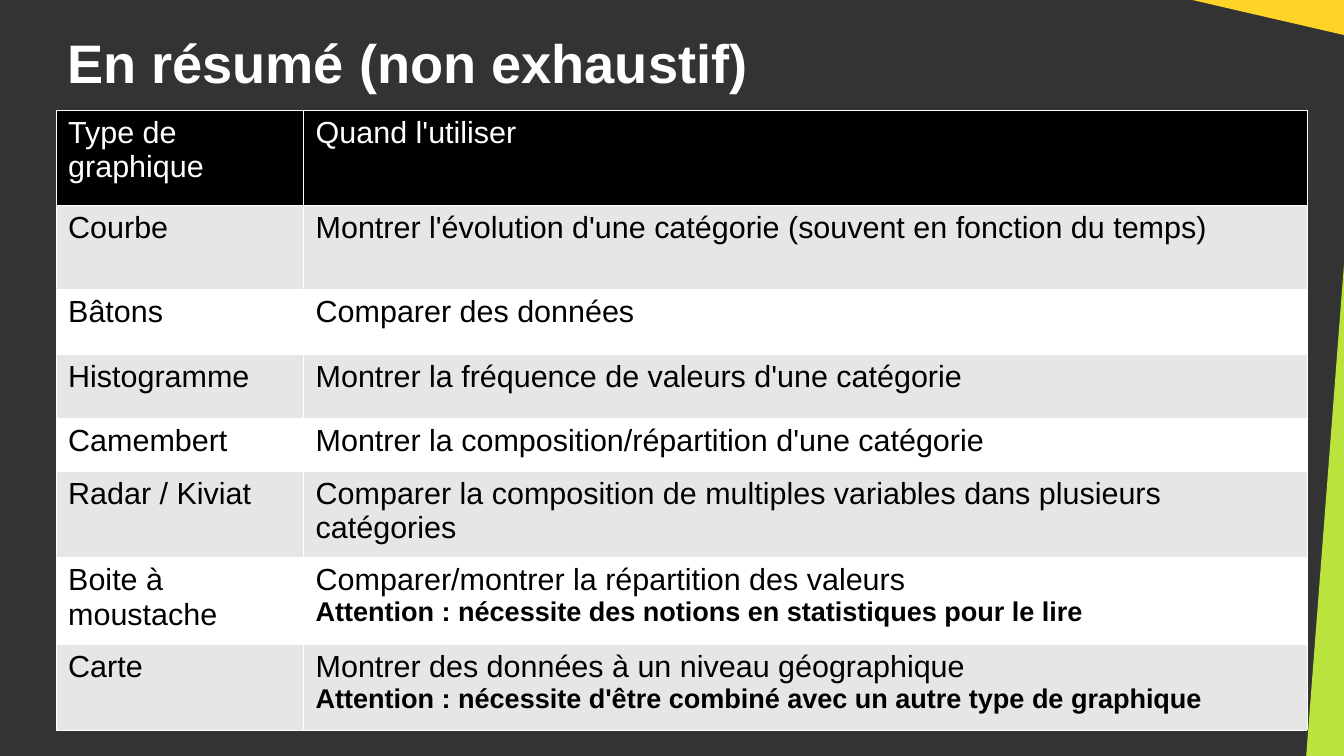
from dataclasses import dataclass

from lxml import etree
from pptx import Presentation
from pptx.dml.color import RGBColor
from pptx.enum.shapes import MSO_SHAPE
from pptx.enum.text import MSO_ANCHOR, MSO_AUTO_SIZE, PP_ALIGN
from pptx.oxml.ns import qn
from pptx.util import Emu, Inches, Pt

RIGHT_TRIANGLE = MSO_SHAPE.RIGHT_TRIANGLE
MIDDLE = MSO_ANCHOR.MIDDLE
LEFT = PP_ALIGN.LEFT
NO_AUTOFIT = MSO_AUTO_SIZE.NONE

FONT = "Arial"
DARK, BLACK, WHITE, GREY = "333333", "000000", "FFFFFF", "E6E6E6"
GREEN, YELLOW = "BBE33D", "FFD428"
WIDTH, HEIGHT = Inches(11.02), Inches(6.2)
BORDER = Pt(0.06)


@dataclass
class Box:
    """Position and size in percent of the slide."""
    left: float
    top: float
    width: float
    height: float

    def emu(self) -> tuple[Emu, Emu, Emu, Emu]:
        return across(self.left), down(self.top), across(self.width), down(self.height)


@dataclass
class Triangle:
    box: Box
    rotation: int
    color: str


@dataclass
class ChartType:
    name: str
    use: str
    height: float
    warning: str = ""


TITLE_BOX = Box(4.99, 4.03, 90.02, 8.23)
GREEN_EDGE = Triangle(Box(97.19, 30.81, 2.99, 69.19), 180, GREEN)
YELLOW_CORNER = Triangle(Box(91.74, -10.97, 3.36, 25.81), 90, YELLOW)
COLUMNS = (18.42, 74.68)
ROWS = [
    ChartType("Type de graphique", "Quand l'utiliser", 12.58),
    ChartType("Courbe", "Montrer l'évolution d'une catégorie (souvent en fonction du temps)", 11.13),
    ChartType("Bâtons", "Comparer des données", 8.55),
    ChartType("Histogramme", "Montrer la fréquence de valeurs d'une catégorie", 8.55),
    ChartType("Camembert", "Montrer la composition/répartition d'une catégorie", 6.94),
    ChartType("Radar / Kiviat",
              "Comparer la composition de multiples variables dans plusieurs catégories", 11.45),
    ChartType("Boite à moustache", "Comparer/montrer la répartition des valeurs", 11.45,
              "Attention : nécessite des notions en statistiques pour le lire"),
    ChartType("Carte", "Montrer des données à un niveau géographique", 11.45,
              "Attention : nécessite d'être combiné avec un autre type de graphique"),
]
TABLE_BOX = Box(4.17, 14.52, sum(COLUMNS), sum(row.height for row in ROWS))


def across(share: float) -> Emu:
    return Emu(round(WIDTH * share / 100))


def down(share: float) -> Emu:
    return Emu(round(HEIGHT * share / 100))


def rgb(color: str) -> RGBColor:
    return RGBColor.from_string(color)


def style(p, size: int, color: str, bold: bool = False) -> None:
    p.alignment = LEFT
    for r in p.runs:
        r.font.name = FONT
        r.font.size = Pt(size)
        r.font.bold = bold
        r.font.color.rgb = rgb(color)


def add_triangle(s, triangle: Triangle) -> None:
    sp = s.shapes.add_shape(RIGHT_TRIANGLE, *triangle.box.emu())
    sp.rotation = triangle.rotation
    sp._element.spPr.find(qn("a:xfrm")).set("flipV", "1")
    sp.shadow.inherit = False
    sp.fill.solid()
    sp.fill.fore_color.rgb = rgb(triangle.color)
    sp.line.fill.background()


def set_title(s, text: str) -> None:
    sp = s.shapes.title
    sp.left, sp.top, sp.width, sp.height = TITLE_BOX.emu()
    tf = sp.text_frame
    tf.text = text
    tf.word_wrap = True
    tf.auto_size = NO_AUTOFIT
    tf.vertical_anchor = MIDDLE
    tf.margin_left = tf.margin_top = tf.margin_right = tf.margin_bottom = 0
    style(tf.paragraphs[0], 32, WHITE, bold=True)


def set_borders(cell) -> None:
    # Borders come before the fill in the cell properties
    props = cell._tc.get_or_add_tcPr()
    for i, side in enumerate(("lnL", "lnR", "lnT", "lnB")):
        line = etree.Element(qn(f"a:{side}"), w=str(BORDER))
        fill = etree.SubElement(line, qn("a:solidFill"))
        etree.SubElement(fill, qn("a:srgbClr"), val=WHITE)
        props.insert(i, line)


def fill_cell(cell, lines: list[str], fill: str, color: str) -> None:
    cell.fill.solid()
    cell.fill.fore_color.rgb = rgb(fill)
    set_borders(cell)
    tf = cell.text_frame
    tf.text = "\n".join(lines)
    for i, p in enumerate(tf.paragraphs):
        style(p, 16 if i else 18, color, bold=i > 0)


def add_summary(s) -> None:
    table = s.shapes.add_table(len(ROWS), len(COLUMNS), *TABLE_BOX.emu()).table
    table.first_row = table.horz_banding = False
    for column, width in zip(table.columns, COLUMNS):
        column.width = across(width)
    for i, row in enumerate(ROWS):
        table.rows[i].height = down(row.height)
        fill = BLACK if i == 0 else (GREY if i % 2 else WHITE)
        color = WHITE if i == 0 else BLACK
        use = [row.use, row.warning] if row.warning else [row.use]
        for j, lines in enumerate(([row.name], use)):
            fill_cell(table.cell(i, j), lines, fill, color)


def main() -> None:
    prs = Presentation()
    prs.slide_width, prs.slide_height = WIDTH, HEIGHT
    s = prs.slides.add_slide(prs.slide_layouts[5])
    s.background.fill.solid()
    s.background.fill.fore_color.rgb = rgb(DARK)

    # Title and table between the two coloured corners
    add_triangle(s, GREEN_EDGE)
    set_title(s, "En résumé (non exhaustif)")
    add_summary(s)
    add_triangle(s, YELLOW_CORNER)
    prs.save("out.pptx")


if __name__ == "__main__":
    main()
